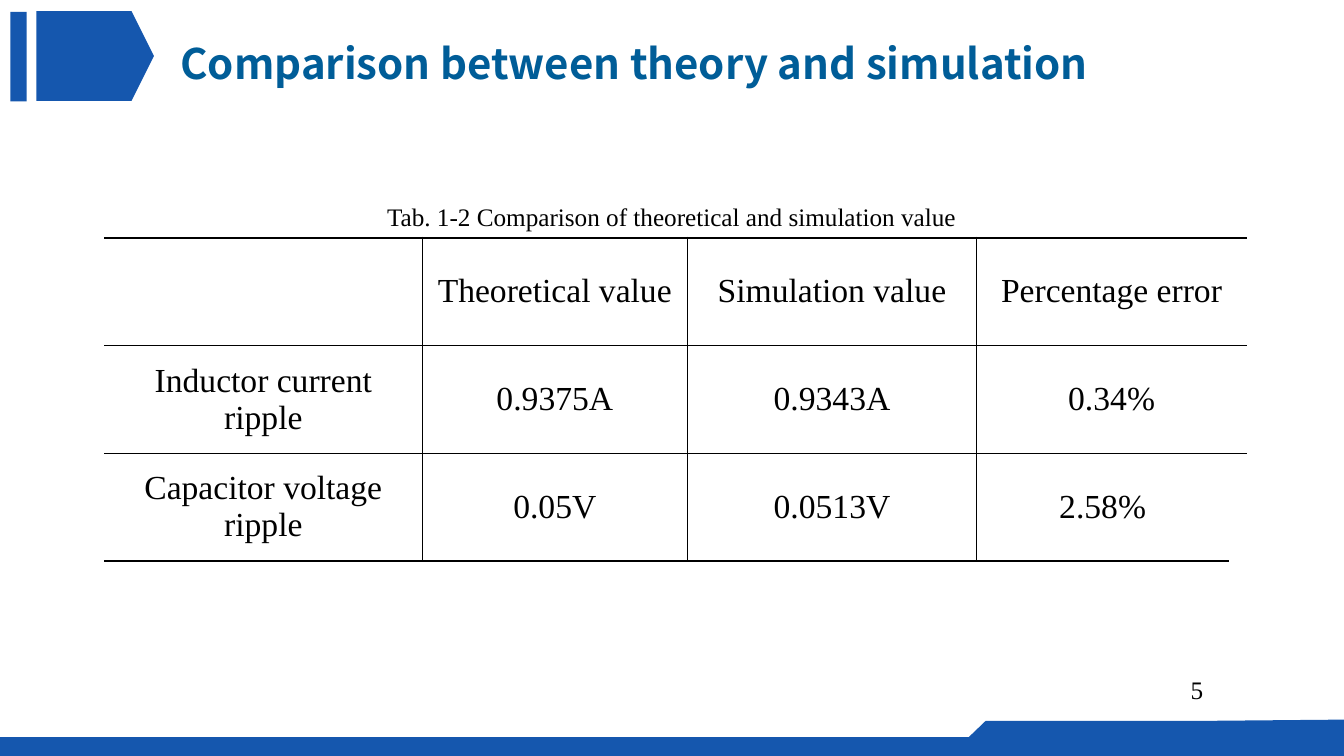
"""Build the slide comparing theoretical and simulated ripple values."""
import lxml.etree
import pptx
import pptx.dml.color
import pptx.enum.shapes
import pptx.enum.text
import pptx.oxml.ns
import pptx.util

Pt = pptx.util.Pt
qn = pptx.oxml.ns.qn
Align = pptx.enum.text.PP_ALIGN
Anchor = pptx.enum.text.MSO_ANCHOR
COLORS = {"blue": "1557AE", "title": "005D98", "black": "000000"}
SERIF = "Times New Roman"


def write(frame, text, size, font=SERIF, color="black", bold=False, align=Align.CENTER):
    line = frame.paragraphs[0]
    line.alignment = align
    run = line.add_run()
    run.text = text
    run.font.size = Pt(size)
    run.font.name = font
    run.font.bold = bold
    run.font.color.rgb = pptx.dml.color.RGBColor.from_string(COLORS[color])


def border(cell, widths):
    props = cell._tc.get_or_add_tcPr()
    for spot, (side, width) in enumerate(zip("LRTB", widths)):
        line = lxml.etree.Element(qn(f"a:ln{side}"), w=str(Pt(width)))
        if width:
            fill = lxml.etree.SubElement(line, qn("a:solidFill"))
            lxml.etree.SubElement(fill, qn("a:srgbClr"), val=COLORS["black"])
        else:
            lxml.etree.SubElement(line, qn("a:noFill"))
        props.insert(spot, line)


deck = pptx.Presentation()
deck.slide_width, deck.slide_height = Pt(960), Pt(540)
slide = deck.slides.add_slide(deck.slide_layouts[6])
shapes = slide.shapes

outlines = [
    [(26, 8.5), (93.5, 8.5), (109.5, 40.5), (93.5, 72.5), (26, 72.5)],
    [(960, 540), (960, 514), (850, 514.7), (704, 515), (677.5, 540)],
]
blocks = []
for (left, top), *rest in outlines:
    build = shapes.build_freeform(left, top, scale=Pt(1))
    build.add_line_segments(rest, close=True)
    blocks.append(build.convert_to_shape())
for box in [(7.5, 8.5, 11.5, 64), (0, 526.5, 711, 13.5)]:
    kind = pptx.enum.shapes.MSO_SHAPE.RECTANGLE
    blocks.append(shapes.add_shape(kind, *map(Pt, box)))
for block in blocks:
    block.shadow.inherit = False
    block.fill.solid()
    block.fill.fore_color.rgb = pptx.dml.color.RGBColor.from_string(COLORS["blue"])
    block.line.fill.background()

title = shapes.add_textbox(Pt(121.7), Pt(23), Pt(708), Pt(44)).text_frame
title.word_wrap = True
title.vertical_anchor = Anchor.MIDDLE
write(title, "Comparison between theory and simulation", 30,
      "Noto Sans CJK SC", "title", True, Align.LEFT)

rows = [
    ["", "Theoretical value", "Simulation value", "Percentage error", ""],
    ["Inductor current ripple", "0.9375A", "0.9343A", "0.34%", ""],
    ["Capacitor voltage ripple", "0.05V", "0.0513V", "2.58%", ""],
]
widths = [227, 189.4, 206.6, 180, 7.2]
table = shapes.add_table(3, 5, Pt(74.6), Pt(169.7), Pt(sum(widths)), Pt(231)).table
table.first_row = table.horz_banding = False
for col, width in zip(table.columns, widths):
    col.width = Pt(width)
for r, row in enumerate(rows):
    table.rows[r].height = Pt(77)
    for c, text in enumerate(row):
        cell = table.cell(r, c)
        cell.fill.background()
        cell.vertical_anchor = Anchor.MIDDLE
        cell.margin_left = cell.margin_right = Pt(5)
        cell.margin_top = cell.margin_bottom = 0
        if text:
            write(cell.text_frame, text, 24)
        above = 1 if r else 1.5
        below = 1 if r < 2 else 1.5 if c < 4 else 0
        border(cell, [0 < c < 4, c < 3, above, below])
for r in range(2):
    table.cell(r, 3).merge(table.cell(r, 4))

notes = [
    ("Tab. 1-2 Comparison of theoretical and simulation value", 267, 140.5, 425.5),
    ("5", 843, 478, 24),
]
for text, left, top, width in notes:
    frame = shapes.add_textbox(Pt(left), Pt(top), Pt(width), Pt(29)).text_frame
    frame.word_wrap = False
    write(frame, text, 18)

deck.save("out.pptx")
